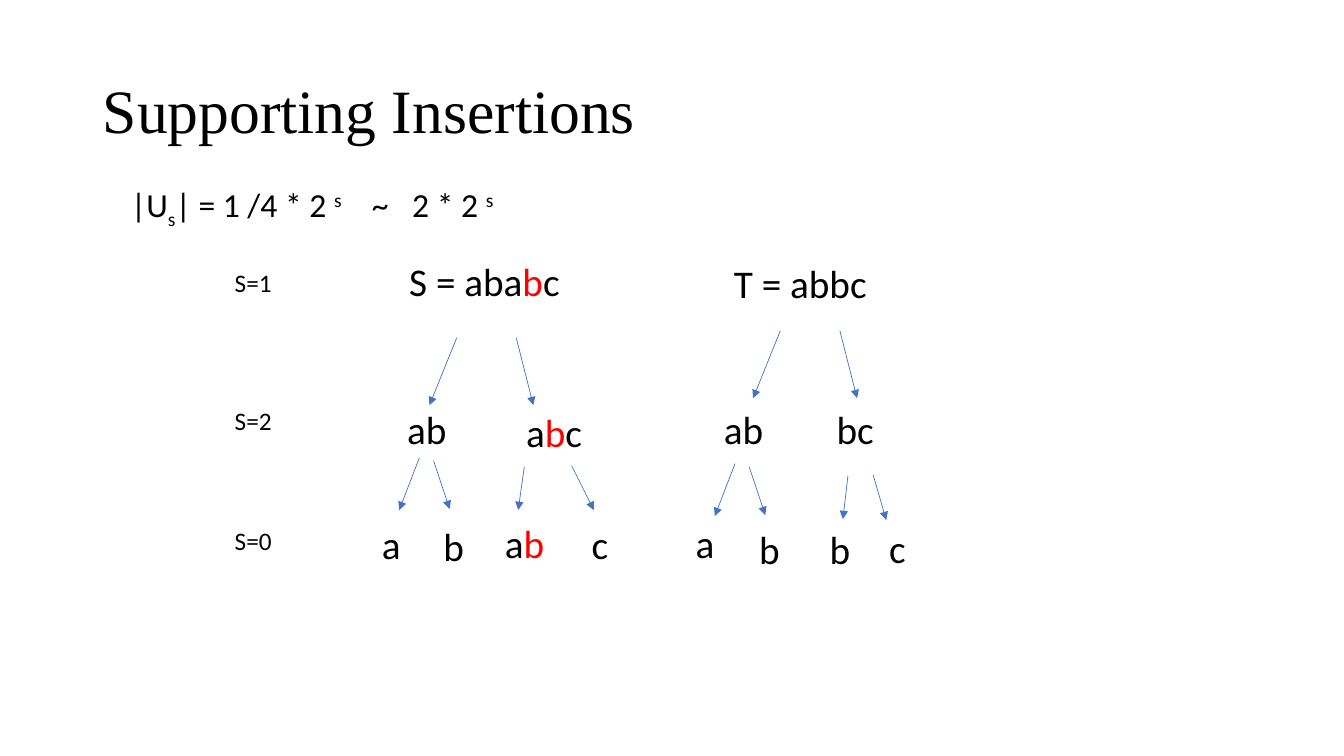
from lxml import etree
from pptx import Presentation
from pptx.dml.color import RGBColor
from pptx.enum.shapes import MSO_CONNECTOR as Connector
from pptx.enum.text import MSO_ANCHOR as Anchor, MSO_AUTO_SIZE as AutoSize, PP_ALIGN as Align
from pptx.oxml.ns import qn
from pptx.util import Inches, Pt

BLACK = RGBColor(0x00, 0x00, 0x00)
RED = RGBColor(0xFF, 0x00, 0x00)
BLUE = RGBColor(0x44, 0x72, 0xC4)

COLUMNS, ROWS = 133.3, 75
CELL = Inches(0.1)
TITLE_ONLY = 5

LEVELS = [("S=1", 26), ("S=2", 39.7), ("S=0", 51.6)]

# Column, row, width, then pieces of the string: plain and inserted by turns
NODES = [
    (39.6, 25, 19.5, ["S = aba", "b", "c"]),
    (39.4, 39.7, 7.8, ["ab"]),
    (51.2, 40, 7.8, ["a", "b", "c"]),
    (36.9, 51.1, 4.9, ["a"]),
    (43, 51.3, 3.6, ["b"]),
    (49.1, 51, 7.2, ["a", "b"]),
    (57.7, 51.1, 3.6, ["c"]),
    (71.8, 25.2, 19.5, ["T = abbc"]),
    (70.8, 39.7, 7.8, ["ab"]),
    (82, 39.7, 7.8, ["bc"]),
    (68, 51, 7.8, ["a"]),
    (74.3, 51.6, 3.6, ["b"]),
    (81.3, 51.6, 4.6, ["b"]),
    (87.2, 51.5, 3.6, ["c"]),
]

# Each fork: two arrows as offsets (from x, from y, to x, to y) from its origin
ROOT_FORK = [(0, 0, -2.7, 6.7), (5.9, 0, 7.6, 6.7)]
AB_FORK = [(0, 0, -2, 5.2), (1.4, 0.3, 3, 5.1)]
ABC_FORK = [(0, 0, -0.6, 4.3), (4.7, -0.1, 6.9, 4.3)]
BC_FORK = [(0, 0, -0.5, 4.3), (2.5, -0.1, 3.8, 4.4)]
FORKS = [
    (45.3, 33.5, ROOT_FORK), (41.6, 45.4, AB_FORK), (52, 46.3, ABC_FORK),
    (77.4, 32.8, ROOT_FORK), (72.9, 46, AB_FORK), (84.1, 47.2, BC_FORK),
]

# Text and baseline shift in thousandths of a percent
FORMULA = [("|U", 0), ("s", -25000), ("| = 1 /4 * 2 ", 0), ("s", 30000),
           ("\t~\t2 * 2 ", 0), ("s", 30000)]
FORMULA_TABS = [23.9, 27.9]


def cells(*counts):
    return [round(count * CELL) for count in counts]


def set_format(target, values):
    for name, value in values.items():
        setattr(target, name, value)


class TreeSlide:
    font_name = "Calibri"

    def __init__(self, presentation):
        self.slide = presentation.slides.add_slide(presentation.slide_layouts[TITLE_ONLY])

    def add_text(self, paragraph, text, size, color=BLACK, name=font_name):
        run = paragraph.add_run()
        run.text = text
        set_format(run.font, {"name": name, "size": Pt(size)})
        run.font.color.rgb = color
        return run

    def title(self, text, *box):
        title = self.slide.shapes.title
        set_format(title, dict(zip(("left", "top", "width", "height"), cells(*box))))
        set_format(title.text_frame, {"vertical_anchor": Anchor.MIDDLE, "auto_size": AutoSize.NONE})
        paragraph = title.text_frame.paragraphs[0]
        set_format(paragraph, {"alignment": Align.LEFT, "line_spacing": 0.9})
        self.add_text(paragraph, text, 44, name="Times New Roman")

    def text_box(self, *box):
        frame = self.slide.shapes.add_textbox(*cells(*box)).text_frame
        set_format(frame, {"word_wrap": True, "auto_size": AutoSize.SHAPE_TO_FIT_TEXT})
        return frame.paragraphs[0]

    def level(self, text, row):
        self.add_text(self.text_box(22.3, row, 8, 4), text, 18)

    def node(self, column, row, width, pieces):
        paragraph = self.text_box(column, row, width, 5.7)
        for index, piece in enumerate(pieces):
            self.add_text(paragraph, piece, 28, RED if index % 2 else BLACK)

    def formula(self, pieces, tabs, *box):
        paragraph = self.text_box(*box)
        tab_list = etree.SubElement(paragraph._p.get_or_add_pPr(), qn("a:tabLst"))
        for position in cells(*tabs):
            etree.SubElement(tab_list, qn("a:tab"), pos=str(position), algn="l")
        for text, baseline in pieces:
            run = self.add_text(paragraph, text, 24)
            if baseline:
                run._r.get_or_add_rPr().set("baseline", str(baseline))

    def arrow(self, *ends):
        arrow = self.slide.shapes.add_connector(Connector.STRAIGHT, *cells(*ends))
        arrow.line.width = Pt(0.5)
        arrow.line.color.rgb = BLUE
        properties = arrow._element.spPr
        etree.SubElement(properties.find(qn("a:ln")), qn("a:tailEnd"), type="triangle")
        etree.SubElement(properties, qn("a:effectLst"))

    def fork(self, column, row, offsets):
        for x1, y1, x2, y2 in offsets:
            self.arrow(column + x1, row + y1, column + x2, row + y2)


def main():
    presentation = Presentation()
    width, height = cells(COLUMNS, ROWS)
    set_format(presentation, {"slide_width": width, "slide_height": height})
    tree = TreeSlide(presentation)
    tree.title("Supporting Insertions", 9.2, 4, 115, 14.5)
    tree.formula(FORMULA, FORMULA_TABS, 12, 17.8, 66.6, 5)
    for level in LEVELS:
        tree.level(*level)
    for node in NODES:
        tree.node(*node)
    for fork in FORKS:
        tree.fork(*fork)
    presentation.save("out.pptx")


if __name__ == "__main__":
    main()
